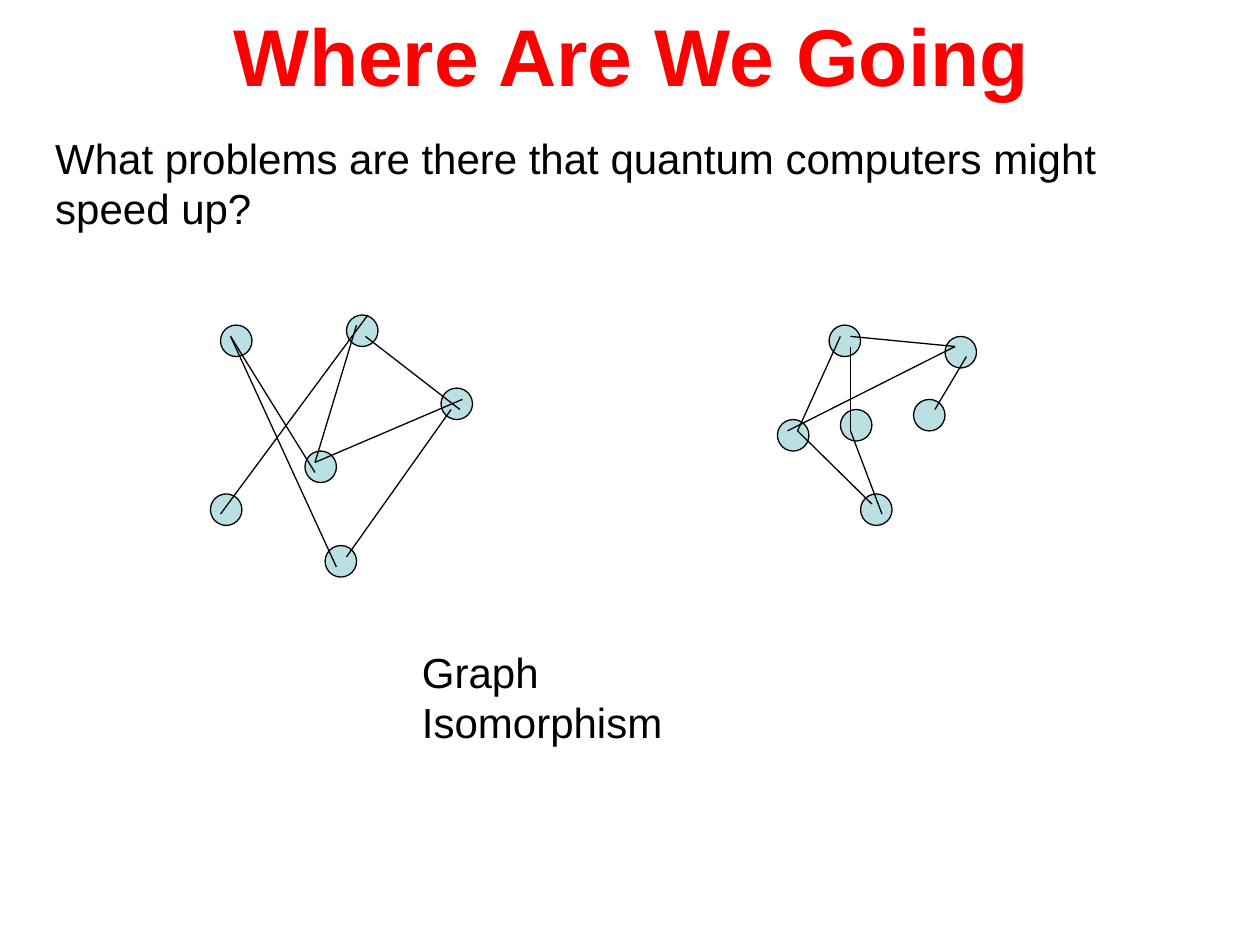
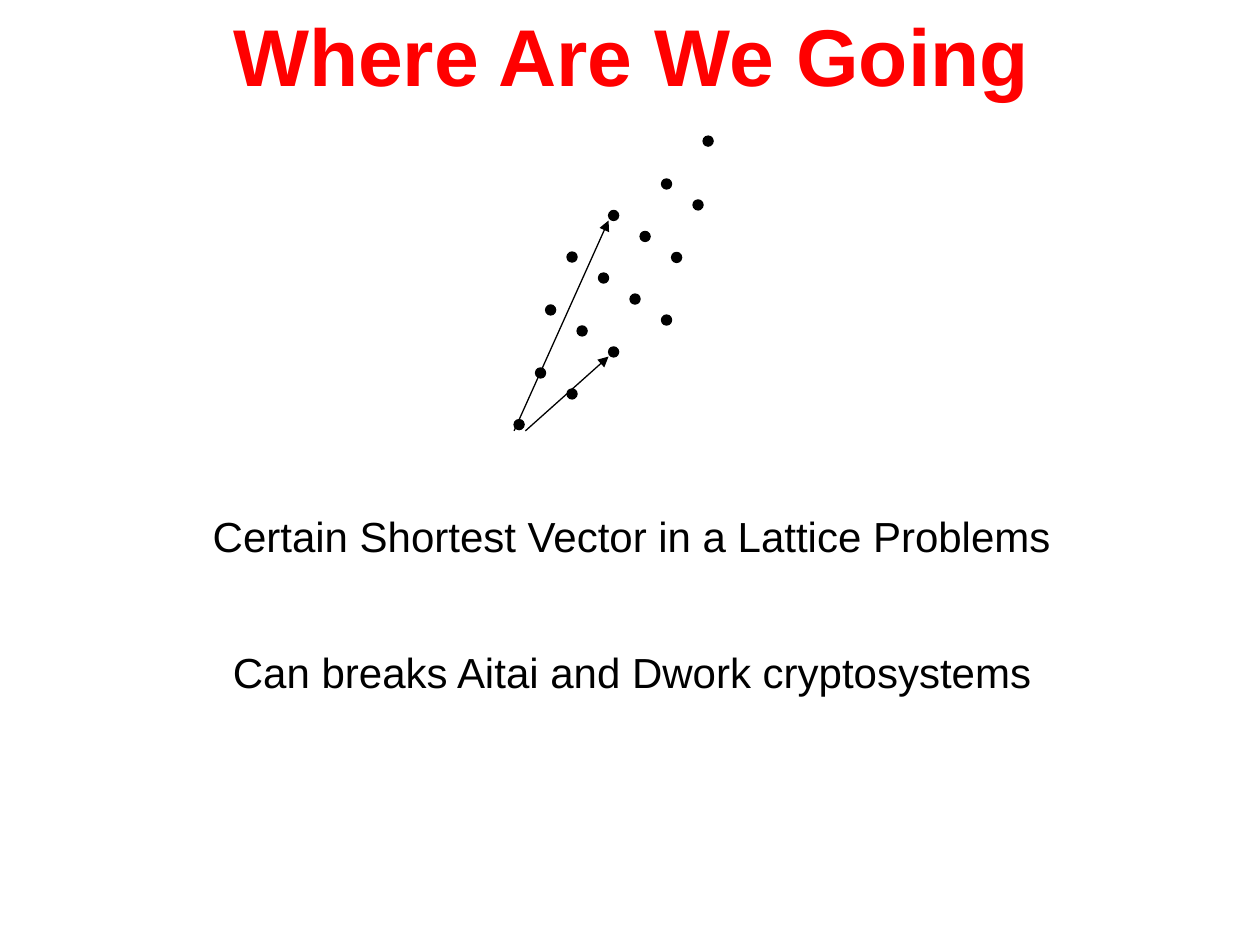
"""Build two slides on problems that quantum computers might speed up."""
from dataclasses import dataclass

from lxml.etree import SubElement
from pptx import Presentation
from pptx.dml.color import RGBColor
from pptx.enum.shapes import MSO_CONNECTOR, MSO_SHAPE
from pptx.enum.text import MSO_ANCHOR, MSO_AUTO_SIZE, PP_ALIGN
from pptx.oxml.ns import qn
from pptx.util import Inches, Pt

TITLE = "Where Are We Going"
TITLE_AREA = (1.75, 0, 6.55, 0.87)

GRAPH_TEXTS = [
    (["What problems are there that quantum computers might", "speed up?"], (0.34, 1, 8.46, 0.9)),
    (["Graph Isomorphism"], (3.25, 5.08, 3.12, 0.5)),
]
LATTICE_TEXTS = [
    (["Certain Shortest Vector in a Lattice Problems"], (1.59, 4, 6.87, 0.5)),
    (["Can breaks Aitai and Dwork cryptosystems"], (1.75, 5.08, 6.55, 0.5)),
]

NODE_SIZE = 0.25
LEFT_NODES = [(1.75, 2.58), (2.75, 2.5), (2.42, 3.58), (3.5, 3.08), (1.67, 3.92), (2.58, 4.33)]
RIGHT_NODES = [(6.58, 2.58), (6.17, 3.33), (7.25, 3.17), (6.83, 3.92), (6.67, 3.25), (7.5, 2.67)]
LEFT_EDGES = [
    ((2.9, 2.67), (3.65, 3.25)),
    ((2.83, 2.58), (2.5, 3.67)),
    ((2.92, 2.5), (1.75, 4.08)),
    ((2.5, 3.67), (3.67, 3.17)),
    ((3.58, 3.25), (2.75, 4.42)),
    ((1.83, 2.67), (2.67, 4.5)),
    ((1.83, 2.67), (2.5, 3.75)),
]
RIGHT_EDGES = [
    ((6.75, 2.75), (6.75, 3.42)),
    ((6.67, 2.67), (6.33, 3.42)),
    ((6.75, 2.67), (7.58, 2.75)),
    ((6.25, 3.42), (7.58, 2.75)),
    ((7.67, 2.83), (7.42, 3.25)),
    ((6.75, 3.42), (7, 4.08)),
    ((6.33, 3.42), (6.92, 4)),
]

DOT_SIZE = 0.08
LATTICE_STEP = (0.25, 1 / 6)
LATTICE_ROWS = [
    ((4.08, 3.33), 1),
    ((4.25, 2.92), 2),
    ((4.33, 2.42), 3),
    ((4.5, 2), 4),
    ((4.83, 1.67), 3),
    ((5.25, 1.42), 2),
    ((5.58, 1.08), 1),
]
VECTORS = [((4.08, 3.42), (4.83, 1.75)), ((4.17, 3.42), (4.83, 2.83))]


@dataclass(frozen=True)
class Theme:
    font: str = "Arial"
    title_size: Pt = Pt(46)
    text_size: Pt = Pt(24)
    line_width: Pt = Pt(0.75)
    title: RGBColor = RGBColor(0xFF, 0, 0)
    ink: RGBColor = RGBColor(0, 0, 0)
    node: RGBColor = RGBColor(0xBB, 0xE0, 0xE3)


THEME = Theme()


def write(box, lines, size, color, bold=False):
    frame = box.text_frame
    frame.text = "\n".join(lines)
    frame.word_wrap = False
    frame.auto_size = MSO_AUTO_SIZE.SHAPE_TO_FIT_TEXT
    frame.vertical_anchor = MSO_ANCHOR.TOP
    for para in frame.paragraphs:
        para.alignment = PP_ALIGN.LEFT
        para.font.name = THEME.font
        para.font.size = size
        para.font.bold = bold
        para.font.color.rgb = color


def add_page(deck, texts):
    page = deck.slides.add_slide(deck.slide_layouts[5])
    title = page.shapes.title
    title.left, title.top, title.width, title.height = map(Inches, TITLE_AREA)
    write(title, [TITLE], THEME.title_size, THEME.title, bold=True)
    for lines, area in texts:
        box = page.shapes.add_textbox(*map(Inches, area))
        write(box, lines, THEME.text_size, THEME.ink)
    return page


def add_circles(page, corners, size, fill):
    for left, top in corners:
        circle = page.shapes.add_shape(MSO_SHAPE.OVAL, *map(Inches, (left, top, size, size)))
        circle.shadow.inherit = False
        circle.fill.solid()
        circle.fill.fore_color.rgb = fill
        circle.line.color.rgb = THEME.ink
        circle.line.width = THEME.line_width


def add_lines(page, segments, arrow=False):
    for start, end in segments:
        line = page.shapes.add_connector(MSO_CONNECTOR.STRAIGHT, *map(Inches, start + end))
        line.line.color.rgb = THEME.ink
        line.line.width = THEME.line_width
        properties = line._element.spPr
        SubElement(properties, qn("a:effectLst"))
        if arrow:
            SubElement(properties.find(qn("a:ln")), qn("a:tailEnd"), type="triangle")


def lattice_corners():
    across, down = LATTICE_STEP
    return [
        (left + across * index, top + down * index)
        for (left, top), count in LATTICE_ROWS
        for index in range(count)
    ]


def main():
    deck = Presentation()
    deck.slide_width, deck.slide_height = Inches(10), Inches(7.5)

    graphs = add_page(deck, GRAPH_TEXTS)
    add_circles(graphs, LEFT_NODES + RIGHT_NODES, NODE_SIZE, THEME.node)
    add_lines(graphs, LEFT_EDGES + RIGHT_EDGES)

    lattice = add_page(deck, LATTICE_TEXTS)
    add_circles(lattice, lattice_corners(), DOT_SIZE, THEME.ink)
    add_lines(lattice, VECTORS, arrow=True)

    deck.save("out.pptx")


if __name__ == "__main__":
    main()
